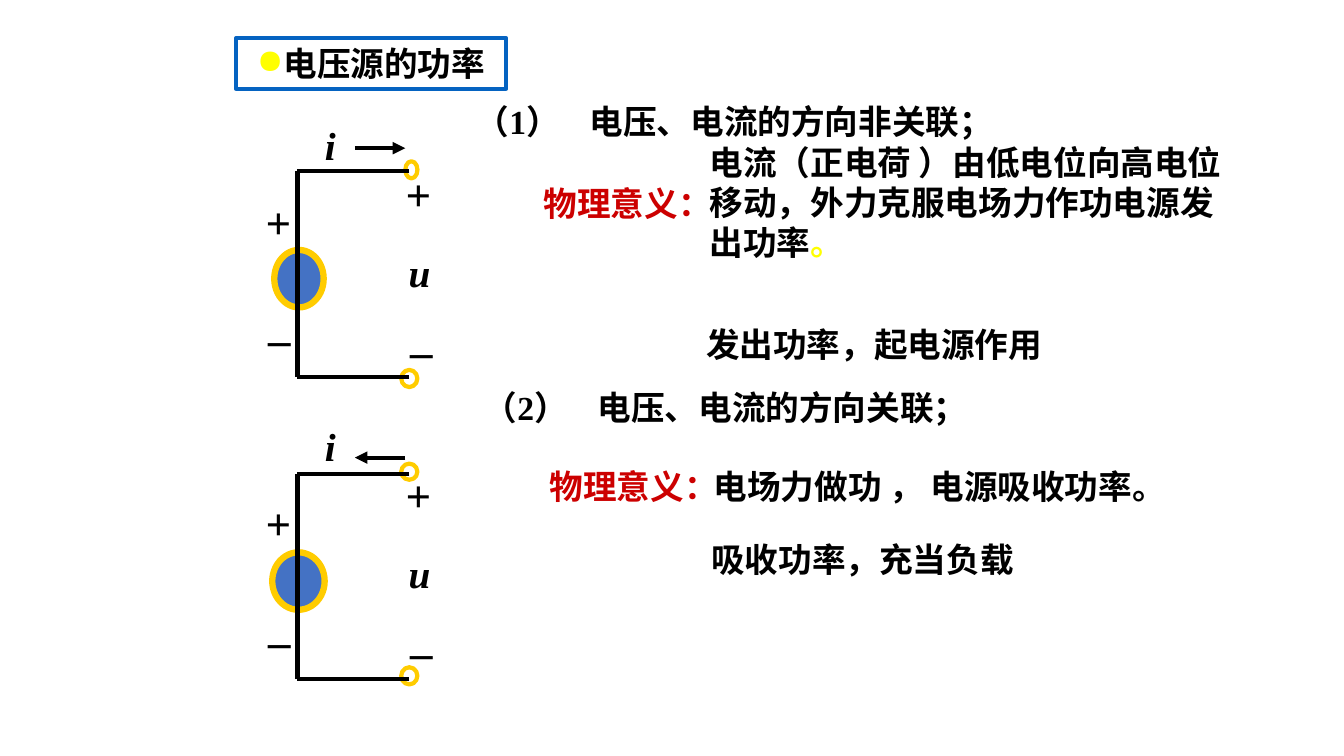
import pptx
import pptx.util
import pptx.dml.color
import pptx.enum.shapes
import pptx.enum.text
import pptx.oxml
import pptx.oxml.ns
from lxml import etree

Inches, Pt = pptx.util.Inches, pptx.util.Pt
SHAPE = pptx.enum.shapes.MSO_SHAPE
ALIGN = pptx.enum.text.PP_ALIGN
ANCHOR = pptx.enum.text.MSO_ANCHOR

THEME = dict(
    font="Times New Roman", body=24, symbol=28, sign=32,
    ink="000000", red="CC0000", yellow="FFFF00", gold="FFCC00",
    blue="4472C4", frame="0563C1", wire=3, ring=4.5,
)

TITLE = ("电压源的功率", (2.34, 0.38, 2.68, 0.5))
MEANING = "物理意义："

# text, box (left, top, width, height), format
NOTES = [
    ("（1）\t电压、电流的方向非关联；", (4.62, 0.95, 6.06, 0.5), dict(align=ALIGN.LEFT, tab=1.13)),
    (MEANING, (5.28, 1.76, 1.89, 0.5), dict(color=THEME["red"], wrap=False)),
    ([("电流（正电荷 ）由低电位向高电位移动，外力克服电场力作功电源发出功率", THEME["ink"]),
      ("。", THEME["yellow"])], (6.94, 1.35, 5.31, 1.31), dict(align=ALIGN.LEFT)),
    ("发出功率，起电源作用", (6.82, 3.16, 3.7, 0.5), dict(anchor=ANCHOR.TOP)),
    ("（2）\t电压、电流的方向关联；", (4.7, 3.79, 5.67, 0.5), dict(align=ALIGN.LEFT, tab=1.13)),
    (MEANING, (5.34, 4.57, 1.89, 0.5), dict(color=THEME["red"], wrap=False)),
    ("电场力做功 ， 电源吸收功率。", (6.94, 4.57, 4.76, 0.5), {}),
    ("吸收功率，充当负载", (6.94, 5.3, 3.23, 0.5), dict(anchor=ANCHOR.TOP)),
]

# tops are on the slide; the other places follow from them
CIRCUITS = [
    dict(wire_top=1.7, label_top=1.15, arrow_y=1.47, arrow_x=(3.52, 4.02),
         source=(2.72, 2.48, 0.49, 0.57),
         terminals=[(4.02, 1.6, 0.12, 0.17), (3.98, 3.67, 0.16, 0.17)]),
    dict(wire_top=4.7, label_top=4.14, arrow_y=4.54, arrow_x=(4.02, 3.52),
         source=(2.7, 5.48, 0.52, 0.57),
         terminals=[(3.98, 4.6, 0.16, 0.16), (3.98, 6.62, 0.16, 0.17)]),
]
WIRE_LEFT, WIRE_RIGHT, WIRE_HEIGHT = 2.95, 4.06, 2.04

# text, left, distance below label_top, width, height, size, rotation
LABELS = [
    ("i", 3.12, 0, 0.31, 0.57, THEME["symbol"], 0),
    ("u", 3.95, 1.26, 0.42, 0.57, THEME["symbol"], 0),
    ("+", 2.54, 0.79, 0.45, 0.63, THEME["sign"], 180),
    ("_", 2.59, 1.74, 0.34, 0.63, THEME["sign"], 0),
    ("+", 3.93, 0.51, 0.45, 0.63, THEME["sign"], 180),
    ("_", 4.0, 1.85, 0.34, 0.63, THEME["sign"], 0),
]


def rgb(code):
    return pptx.dml.color.RGBColor.from_string(code)


def inches(box):
    return [Inches(v) for v in box]


def write(sp, text, size=THEME["body"], color=THEME["ink"], italic=False, align=ALIGN.CENTER,
          anchor=ANCHOR.MIDDLE, wrap=True, tab=None, bullet=None):
    """Fill a shape with one paragraph; text is a string or (text, colour) pairs."""
    tf = sp.text_frame
    tf.word_wrap, tf.vertical_anchor = wrap, anchor
    p = tf.paragraphs[0]
    p.alignment = align
    pPr = p._p.get_or_add_pPr()
    if bullet:
        pPr.set("marL", "0")
        pPr.set("indent", "0")
        clr = etree.SubElement(pPr, pptx.oxml.ns.qn("a:buClr"))
        etree.SubElement(clr, pptx.oxml.ns.qn("a:srgbClr"), val=bullet)
        etree.SubElement(pPr, pptx.oxml.ns.qn("a:buChar"), char="●")
    if tab:
        tabs = etree.SubElement(pPr, pptx.oxml.ns.qn("a:tabLst"))
        etree.SubElement(tabs, pptx.oxml.ns.qn("a:tab"), pos=str(Inches(tab)), algn="l")
    for part, part_color in [(text, color)] if isinstance(text, str) else text:
        r = p.add_run()
        r.text = part
        r.font.name, r.font.size = THEME["font"], Pt(size)
        r.font.bold, r.font.italic = True, italic
        r.font.color.rgb = rgb(part_color)


def add_outline(shapes, kind, box, line, width, fill=None):
    sp = shapes.add_shape(kind, *inches(box))
    sp.shadow.inherit = False
    sp.line.color.rgb, sp.line.width = rgb(line), Pt(width)
    if fill:
        sp.fill.solid()
        sp.fill.fore_color.rgb = rgb(fill)
    else:
        sp.fill.background()
    return sp


def add_wire(shapes, *ends, arrow=False):
    c = shapes.add_connector(pptx.enum.shapes.MSO_CONNECTOR.STRAIGHT, *inches(ends))
    c.line.color.rgb, c.line.width = rgb(THEME["ink"]), Pt(THEME["wire"])
    if arrow:
        etree.SubElement(c.line._get_or_add_ln(), pptx.oxml.ns.qn("a:tailEnd"), type="triangle")
    etree.SubElement(c._element.spPr, pptx.oxml.ns.qn("a:effectLst"))


def add_circuit(s, circuit):
    y = circuit["arrow_y"]
    start, end = circuit["arrow_x"]
    add_wire(s.shapes, start, y, end, y, arrow=True)

    shapes = s.shapes.add_group_shape().shapes
    add_outline(shapes, SHAPE.OVAL, circuit["source"], THEME["gold"], THEME["ring"], THEME["blue"])
    for text, left, below, width, height, size, rotation in LABELS:
        sp = shapes.add_textbox(*inches((left, circuit["label_top"] + below, width, height)))
        sp.rotation = rotation
        write(sp, text, size=size, italic=True, wrap=False)
    for box in circuit["terminals"]:
        add_outline(shapes, SHAPE.OVAL, box, THEME["gold"], THEME["wire"])
    top = circuit["wire_top"]
    bottom = top + WIRE_HEIGHT
    for y in (top, bottom):
        add_wire(shapes, WIRE_RIGHT, y, WIRE_LEFT, y)
    add_wire(shapes, WIRE_LEFT, bottom, WIRE_LEFT, top)


def main():
    prs = pptx.Presentation()
    prs.slide_width, prs.slide_height = Inches(13.33), Inches(7.5)
    s = prs.slides.add_slide(prs.slide_layouts[6])

    title, box = TITLE
    frame = add_outline(s.shapes, SHAPE.RECTANGLE, box, THEME["frame"], THEME["wire"])
    write(frame, title, bullet=THEME["yellow"])
    for circuit in CIRCUITS:
        add_circuit(s, circuit)
    for text, box, fmt in NOTES:
        write(s.shapes.add_textbox(*inches(box)), text, **fmt)
    prs.save("out.pptx")


if __name__ == "__main__":
    main()
